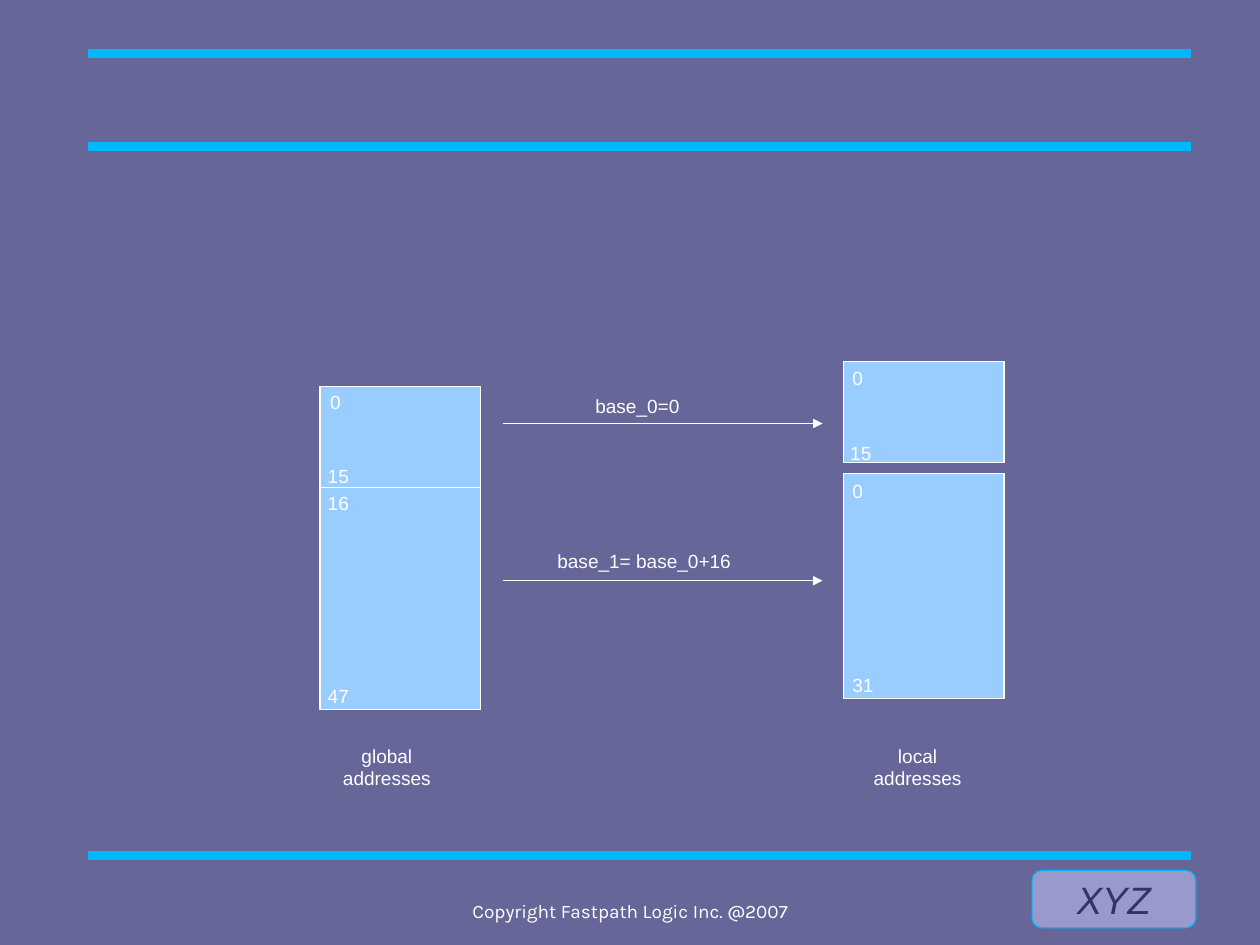
import pptx
import pptx.util
import pptx.dml.color
import pptx.enum.shapes
import pptx.enum.text
import pptx.oxml
import pptx.oxml.ns

Pt = pptx.util.Pt
SHAPES = pptx.enum.shapes.MSO_SHAPE
ALIGN = pptx.enum.text.PP_ALIGN
ANCHOR = pptx.enum.text.MSO_ANCHOR

WHITE, CYAN, SKY = "FFFFFF", "00B8FF", "99CCFF"
BODY = {"size": Pt(12), "name": "Arial", "italic": False}
FOOTER = {**BODY, "name": "Karla"}
BADGE = {"size": Pt(24), "name": "Arial", "italic": True}
BLOCK_WIDTH = 101.3


def set_color(target, value):
    target.rgb = pptx.dml.color.RGBColor.from_string(value)


def set_values(target, values):
    for name, value in values.items():
        setattr(target, name, value)


def write_text(frame, lines, style, color=WHITE, align=ALIGN.LEFT,
               inset=(7.2, 3.6), anchor=ANCHOR.TOP):
    across, down = map(Pt, inset)
    set_values(frame, {
        "word_wrap": True, "vertical_anchor": anchor,
        "margin_left": across, "margin_right": across,
        "margin_top": down, "margin_bottom": down,
    })
    for index, line in enumerate(lines):
        para = frame.add_paragraph() if index else frame.paragraphs[0]
        para.alignment = align
        span = para.add_run()
        span.text = line
        set_values(span.font, style)
        set_color(span.font.color, color)


def add_text(page, place, lines, style=BODY, **layout):
    box = page.shapes.add_textbox(*map(Pt, place))
    write_text(box.text_frame, lines, style, **layout)


def add_block(page, kind, place, fill, line):
    block = page.shapes.add_shape(kind, *map(Pt, place))
    block.shadow.inherit = False
    block.fill.solid()
    set_color(block.fill.fore_color, fill)
    block.line.width = Pt(0)
    set_color(block.line.color, line)
    return block


def add_line(page, left, right, top, color, width, arrow=False):
    line = page.shapes.add_connector(
        pptx.enum.shapes.MSO_CONNECTOR.STRAIGHT,
        Pt(left), Pt(top), Pt(right), Pt(top))
    line.line.width = Pt(width)
    set_color(line.line.color, color)
    if arrow:
        head = pptx.oxml.parse_xml(
            f'<a:tailEnd {pptx.oxml.ns.nsdecls("a")} type="triangle"/>')
        line.line._get_or_add_ln().append(head)
    effects = pptx.oxml.parse_xml(
        f'<a:effectLst {pptx.oxml.ns.nsdecls("a")}/>')
    line._element.spPr.append(effects)


def add_frame(page):
    for top in (34, 92.6, 538.6):
        add_line(page, 55.5, 750.2, top, CYAN, 5.67)
    badge = add_block(page, SHAPES.ROUNDED_RECTANGLE,
                      (650.2, 548.4, 103, 36), "9999CC", CYAN)
    write_text(badge.text_frame, ["XYZ"], BADGE, color="333366",
               align=ALIGN.CENTER, inset=(0, 0), anchor=ANCHOR.MIDDLE)
    add_text(page, (271.4, 566.6, 251.3, 16.6),
             ["Copyright Fastpath Logic Inc. @2007"], FOOTER,
             align=ALIGN.CENTER, inset=(0, 0))


def add_memory(page, left, blocks, numbers, title, title_left):
    for top, height in blocks:
        add_block(page, SHAPES.RECTANGLE,
                  (left, top, BLOCK_WIDTH, height), SKY, WHITE)
    for number, shift, top in numbers:
        add_text(page, (left + shift, top, 31, 23.8), [number])
    add_text(page, (title_left, 465.1, 82, 35.3), [title, "addresses"],
             align=ALIGN.CENTER)


def main():
    deck = pptx.Presentation()
    set_values(deck, {"slide_width": Pt(793.7), "slide_height": Pt(595.28)})
    page = deck.slides.add_slide(deck.slide_layouts[6])
    page.background.fill.solid()
    set_color(page.background.fill.fore_color, "666699")

    add_frame(page)
    add_memory(page, 201.6, [(305.2, 141.7), (243.3, 63.7)],
               [("0", -0.7, 242.3), ("15", -2.2, 289.1),
                ("16", -2.2, 306), ("47", -2.2, 427.7)], "global", 202.7)
    add_memory(page, 531.2, [(298.5, 141.5), (227.5, 63.7)],
               [("0", -1.3, 227.5), ("15", -2.7, 274.3),
                ("0", -1.3, 298.8), ("31", -1.3, 420.8)], "local", 537)

    for top, label, place in (
        (266.8, "base_0=0", (367.9, 245.2, 82, 22.3)),
        (365.8, "base_1= base_0+16", (344, 342.4, 143.3, 22.3)),
    ):
        add_text(page, place, [label])
        add_line(page, 316.8, 518.2, top, WHITE, 0.71, arrow=True)

    deck.save("out.pptx")


if __name__ == "__main__":
    main()
